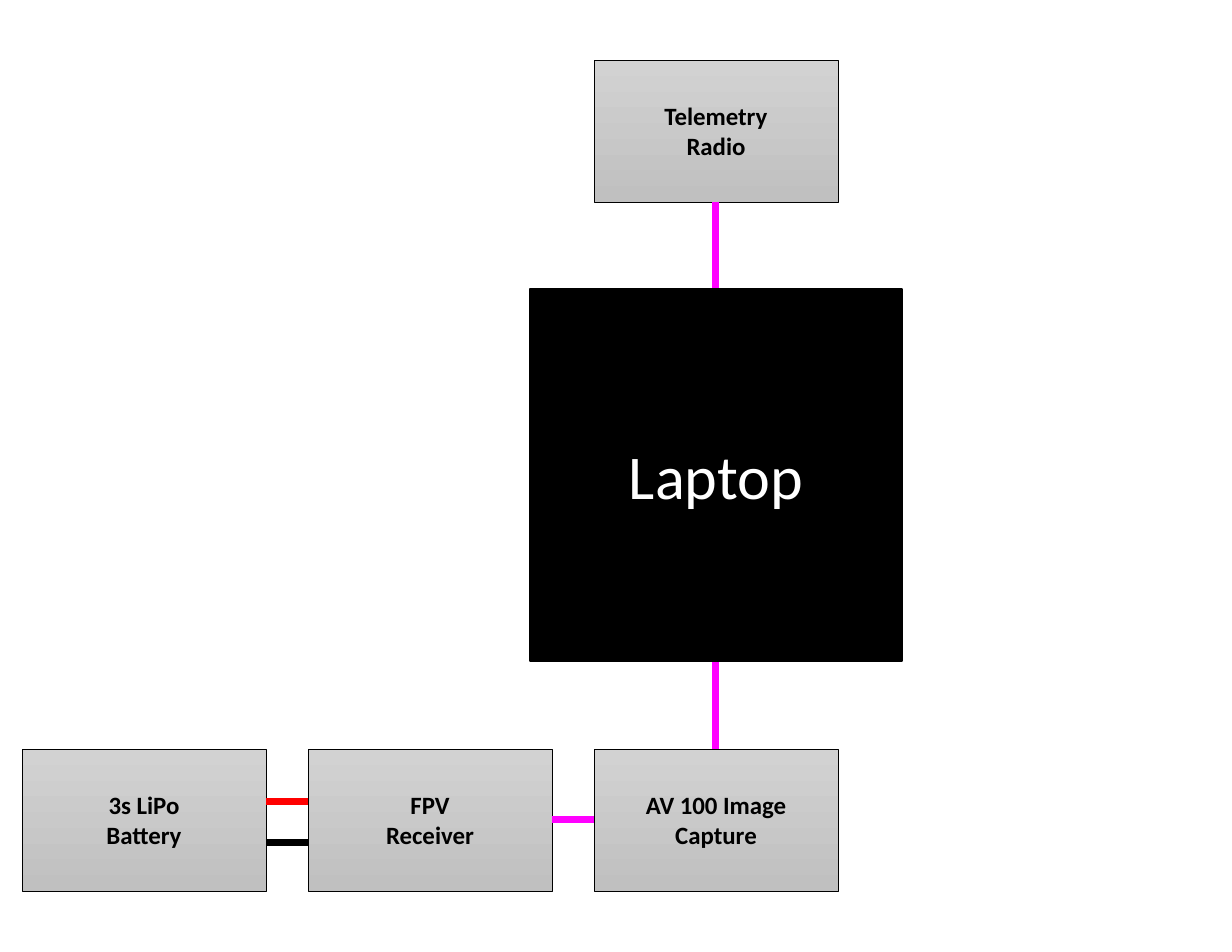
import pptx
import pptx.dml.color
import pptx.enum.shapes
import pptx.enum.text
import pptx.oxml.ns
import pptx.util
from dataclasses import dataclass
from lxml import etree

# Content: name -> (column, row, paragraphs)
MODULES = {
    "battery": (0, 1, ["3s LiPo", "Battery"]),
    "receiver": (1, 1, ["FPV", "Receiver"]),
    "radio": (2, 0, ["Telemetry", "Radio"]),
    "capture": (2, 1, ["AV 100 Image Capture"]),
}
LAPTOP = "Laptop"
TOP, LEFT, BOTTOM, RIGHT = range(4)
# The vertical data line runs behind the laptop
DATA_LINKS = [("capture", TOP, "radio", BOTTOM), ("receiver", RIGHT, "capture", LEFT)]


@dataclass(frozen=True)
class Theme:
    font: str = "Calibri"
    module_size: int = 16
    laptop_size: int = 40
    black: str = "000000"
    white: str = "FFFFFF"
    gray_light: str = "D2D2D2"
    gray_dark: str = "C0C0C0"
    data: str = "FF00FF"
    power: str = "FF0000"
    wire: float = 4.5


THEME = Theme()
POWER_WIRES = [(802, THEME.power), (843, THEME.black)]  # y, colour

# Geometry in px
PX = 914400 // 112
SLIDE_W, SLIDE_H = 1232, 952
BOX_W, BOX_H = 244, 142
COLUMN_X, COLUMN_PITCH = 22, 286
ROW_Y = (60, 749)
LAPTOP_SIDE = 372


def emu(*lengths):
    return [pptx.util.Emu(length * PX) for length in lengths]


def rgb(colour):
    return pptx.dml.color.RGBColor.from_string(colour)


def add_box(slide, bounds, lines, size, colour, bold, line_width):
    shape = slide.shapes.add_shape(pptx.enum.shapes.MSO_SHAPE.RECTANGLE, *emu(*bounds))
    shape.shadow.inherit = False
    shape.line.color.rgb = rgb(THEME.black)
    shape.line.width = pptx.util.Pt(line_width)
    frame = shape.text_frame
    frame.word_wrap = True
    frame.vertical_anchor = pptx.enum.text.MSO_ANCHOR.MIDDLE
    frame.text = "\n".join(lines)
    for paragraph in frame.paragraphs:
        paragraph.alignment = pptx.enum.text.PP_ALIGN.CENTER
        paragraph.font.name = THEME.font
        paragraph.font.size = pptx.util.Pt(size)
        paragraph.font.bold = bold
        paragraph.font.color.rgb = rgb(colour)
    return shape


def add_module(slide, column, row, lines):
    bounds = (COLUMN_X + column * COLUMN_PITCH, ROW_Y[row], BOX_W, BOX_H)
    shape = add_box(slide, bounds, lines, THEME.module_size, THEME.black, True, 0.5)
    shape.fill.gradient()
    shape.fill.gradient_angle = 270
    for stop, colour in zip(shape.fill.gradient_stops, (THEME.gray_light, THEME.gray_dark)):
        stop.color.rgb = rgb(colour)
    return shape


def add_wire(slide, colour, ends=(0, 0, 0, 0)):
    connector = slide.shapes.add_connector(
        pptx.enum.shapes.MSO_CONNECTOR.STRAIGHT, *emu(*ends))
    connector.line.color.rgb = rgb(colour)
    connector.line.width = pptx.util.Pt(THEME.wire)
    etree.SubElement(connector.element.spPr, pptx.oxml.ns.qn("a:effectLst"))
    return connector


def main():
    presentation = pptx.Presentation()
    presentation.slide_width, presentation.slide_height = emu(SLIDE_W, SLIDE_H)
    slide = presentation.slides.add_slide(presentation.slide_layouts[6])

    # Modules
    modules = {name: add_module(slide, *module) for name, module in MODULES.items()}

    # Data links
    for start, start_side, end, end_side in DATA_LINKS:
        connector = add_wire(slide, THEME.data)
        connector.begin_connect(modules[start], start_side)
        connector.end_connect(modules[end], end_side)

    # Power wires between battery and receiver
    for y, colour in POWER_WIRES:
        add_wire(slide, colour, (COLUMN_X + BOX_W, y, COLUMN_X + COLUMN_PITCH, y))

    # Laptop, centred on the last column and between the rows
    center_x = COLUMN_X + 2 * COLUMN_PITCH + BOX_W // 2
    center_y = (sum(ROW_Y) + BOX_H) // 2
    half = LAPTOP_SIDE // 2
    bounds = (center_x - half, center_y - half, LAPTOP_SIDE, LAPTOP_SIDE)
    laptop = add_box(slide, bounds, [LAPTOP], THEME.laptop_size, THEME.white, False, 1)
    laptop.fill.solid()
    laptop.fill.fore_color.rgb = rgb(THEME.black)

    presentation.save("out.pptx")


if __name__ == "__main__":
    main()
